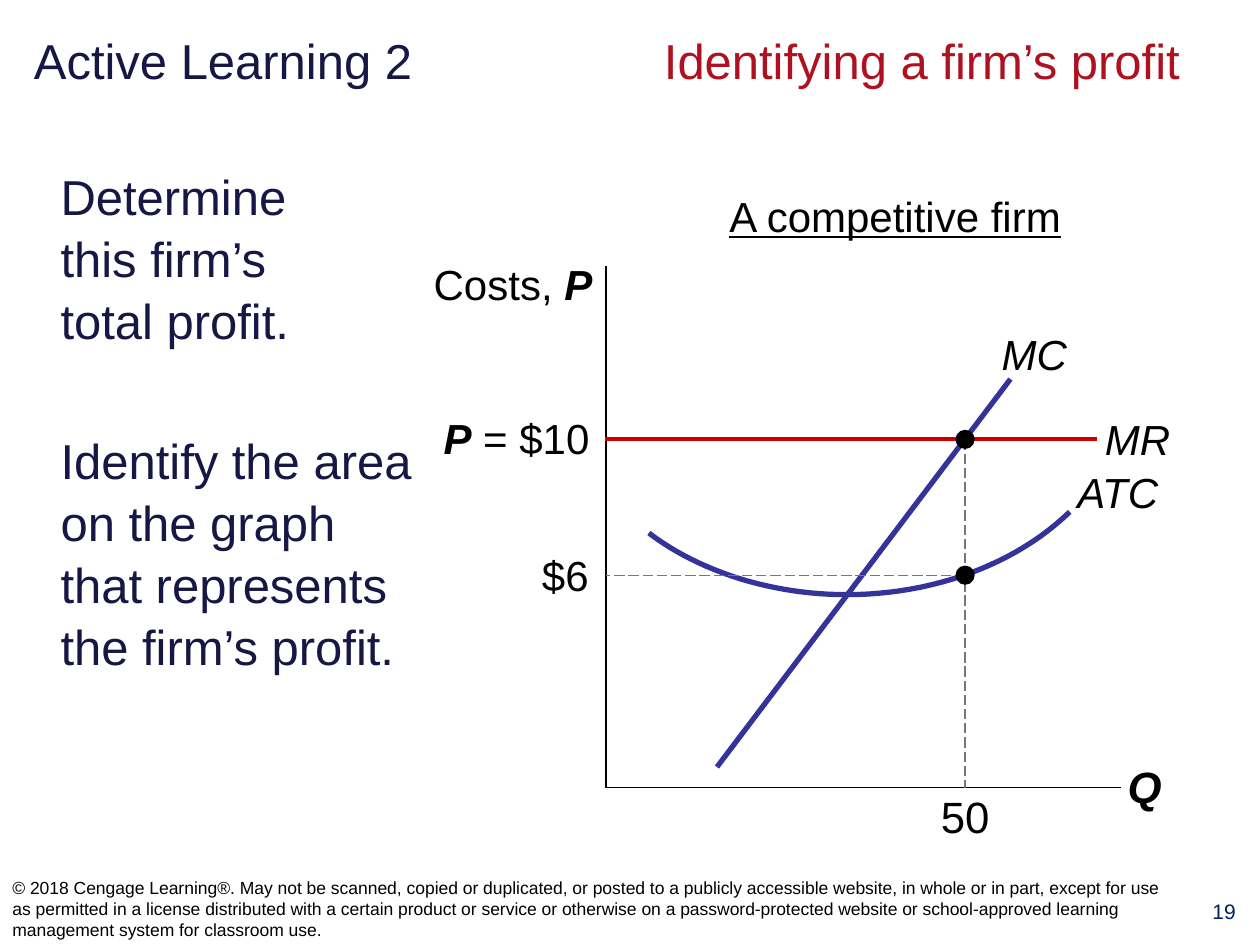
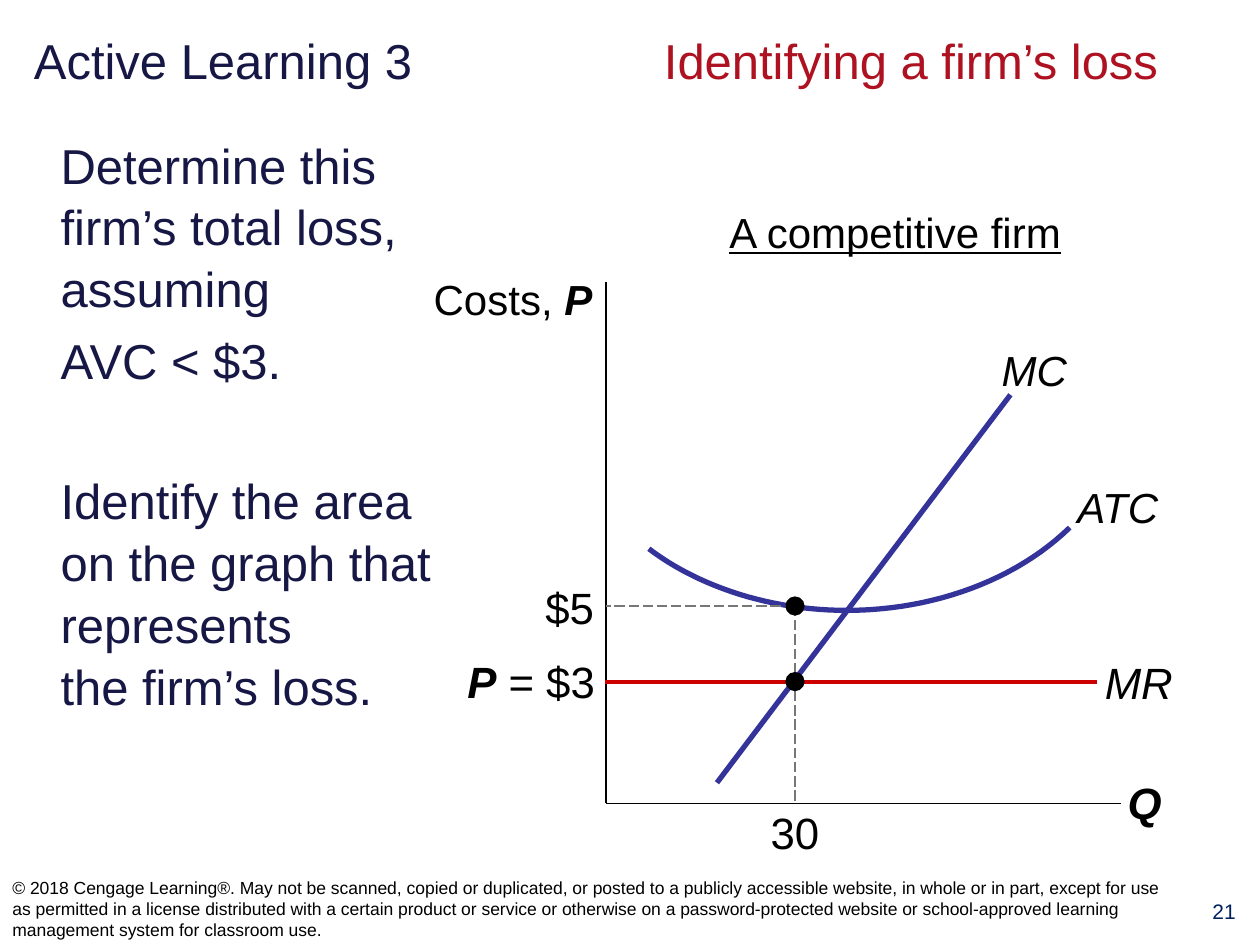
"""Build two Active Learning slides on a competitive firm's profit and loss."""
from lxml.etree import SubElement
from pptx import Presentation
from pptx.dml.color import RGBColor
from pptx.enum.dml import MSO_LINE
from pptx.enum.shapes import MSO_CONNECTOR, MSO_SHAPE
from pptx.enum.text import MSO_ANCHOR, MSO_AUTO_SIZE, PP_ALIGN
from pptx.oxml.ns import qn
from pptx.util import Pt

NAVY, CRIMSON, BLACK = "171745", "AE1221", "000000"
CURVE_BLUE, PRICE_RED, GUIDE_GREY, NUMBER_BLUE = "333399", "CC0000", "777777", "002060"
LEFT, CENTER, RIGHT = PP_ALIGN.LEFT, PP_ALIGN.CENTER, PP_ALIGN.RIGHT
AXIS_X, AXIS_END, DOT = 346.3, 640.8, 11
COPYRIGHT = (
    "© 2018 Cengage Learning®. May not be scanned, copied or duplicated, or posted to a "
    "publicly accessible website, in whole or in part, except for use as permitted in a "
    "license distributed with a certain product or service or otherwise on a "
    "password-protected website or school-approved learning management system for "
    "classroom use."
)
ATC_START = (611.3, 292.5)
ATC_BEZIERS = [
    [ATC_START, (581, 322), (534.2, 339.8), (483.8, 339.8)],
    [(483.8, 339.8), (441.4, 339.8), (400.3, 326.9), (370.8, 304.6)],
]
CURVE_STEPS = 24

LESSONS = [
    dict(number="19", title="Active Learning 2", topic="Identifying a firm’s profit",
         body_top=90, body_width=224.6,
         body=[(0, ["Determine ", "this firm’s ", "total profit."]),
               (45, ["Identify the area on the graph that represents ", "the firm’s profit."])],
         shift=0, price="$10", price_y=251.1, cost="$6", cost_y=328.7,
         quantity="50", quantity_x=551.5, size=24, label_right=344),
    dict(number="21", title="Active Learning 3", topic="Identifying a firm’s loss",
         body_top=72, body_width=252.7,
         body=[(0, ["Determine this firm’s total loss, assuming"]),
               (5.6, ["AVC < $3."]),
               (45, ["Identify the area on the graph that represents ", "the firm’s loss."])],
         shift=9, price="$3", price_y=389.5, cost="$5", cost_y=346.3,
         quantity="30", quantity_x=454.3, size=25, label_right=347),
]


def color(hex_code):
    return RGBColor.from_string(hex_code)


def add_span(para, text, size, hex_code, style=""):
    span = para.add_run()
    span.text = text
    font = span.font
    font.name, font.size, font.color.rgb = "Arial", Pt(size), color(hex_code)
    font.bold, font.italic, font.underline = "b" in style, "i" in style, "u" in style


deck = Presentation()
deck.slide_width, deck.slide_height = Pt(720), Pt(540)

for lesson in LESSONS:
    page = deck.slides.add_slide(deck.slide_layouts[1])
    shift, size = lesson["shift"], lesson["size"]
    price_y, cost_y = lesson["price_y"], lesson["cost_y"]
    quantity_x, label_right = lesson["quantity_x"], lesson["label_right"]
    axis_y = 450 + shift

    title = page.shapes.title
    title.left, title.top, title.width, title.height = Pt(12.2), Pt(8), Pt(696), Pt(52)
    title.text_frame.auto_size = MSO_AUTO_SIZE.NONE
    title.text_frame.vertical_anchor = MSO_ANCHOR.MIDDLE
    para = title.text_frame.paragraphs[0]
    para.alignment = LEFT
    tabs = SubElement(para._p.get_or_add_pPr(), qn("a:tabLst"))
    for stop in (288, 360):
        SubElement(tabs, qn("a:tab"), pos=str(Pt(stop)), algn="l")
    add_span(para, lesson["title"] + "\t\t", 28, NAVY)
    add_span(para, lesson["topic"], 28, CRIMSON)

    body = page.placeholders[1]
    body.left, body.top = Pt(27.4), Pt(lesson["body_top"])
    body.width, body.height = Pt(lesson["body_width"]), Pt(507.6 - lesson["body_top"])
    body.text_frame.auto_size = MSO_AUTO_SIZE.NONE
    for index, (space, lines) in enumerate(lesson["body"]):
        para = body.text_frame.add_paragraph() if index else body.text_frame.paragraphs[0]
        properties = para._p.get_or_add_pPr()
        properties.set("marL", "0")
        properties.set("indent", "0")
        SubElement(properties, qn("a:buNone"))
        para.space_before, para.line_spacing = Pt(space), 1.05
        for line_index, text in enumerate(lines):
            if line_index:
                para.add_line_break()
            add_span(para, text, 28, NAVY)

    atc = page.shapes.build_freeform(Pt(ATC_START[0]), Pt(ATC_START[1] + shift))
    atc_points = []
    for bezier in ATC_BEZIERS:
        for step in range(1, CURVE_STEPS + 1):
            t = step / CURVE_STEPS
            weights = ((1 - t) ** 3, 3 * t * (1 - t) ** 2, 3 * t ** 2 * (1 - t), t ** 3)
            x = sum(weight * point[0] for weight, point in zip(weights, bezier))
            y = sum(weight * point[1] for weight, point in zip(weights, bezier))
            atc_points.append((Pt(x), Pt(y + shift)))
    atc.add_line_segments(atc_points, close=False)
    curve = atc.convert_to_shape()
    curve.shadow.inherit = False
    curve.fill.background()
    curve.line.color.rgb, curve.line.width = color(CURVE_BLUE), Pt(3)

    chart_lines = [
        (AXIS_X, 152 + shift, AXIS_X, axis_y, BLACK, 0.75),
        (AXIS_X, axis_y, AXIS_END, axis_y, BLACK, 0.75),
        (409.7, 438.3 + shift, 577.4, 216.6 + shift, CURVE_BLUE, 3),
        (345.6, price_y, 627.1, price_y, PRICE_RED, 2.25),
        (quantity_x, min(price_y, cost_y), quantity_x, axis_y, GUIDE_GREY, 0.75),
        (quantity_x, cost_y, AXIS_X, cost_y, GUIDE_GREY, 0.75),
    ]
    for x1, y1, x2, y2, hex_code, width in chart_lines:
        connector = page.shapes.add_connector(
            MSO_CONNECTOR.STRAIGHT, Pt(x1), Pt(y1), Pt(x2), Pt(y2))
        connector.line.color.rgb, connector.line.width = color(hex_code), Pt(width)
        if hex_code == GUIDE_GREY:
            connector.line.dash_style = MSO_LINE.LONG_DASH
        SubElement(connector._element.spPr, qn("a:effectLst"))

    for dot_y in (price_y, cost_y):
        dot = page.shapes.add_shape(
            MSO_SHAPE.OVAL, Pt(quantity_x - DOT / 2), Pt(dot_y - DOT / 2), Pt(DOT), Pt(DOT))
        dot.shadow.inherit = False
        dot.fill.solid()
        dot.fill.fore_color.rgb = color(BLACK)
        dot.line.fill.background()

    labels = [
        (637.2, 430.5 + shift, 42.5, 37.4, LEFT, True, [("Q", 25, "bi")]),
        (213.8, 144 + shift, 131.8, 36, RIGHT, True, [("Costs, ", 24, ""), ("P", 24, "bi")]),
        (572.4, 187.8 + shift, 47.5, 29, LEFT, False, [("MC", 24, "i")]),
        (615.6, 266.3 + shift, 58.3, 29, LEFT, False, [("ATC", 24, "i")]),
        (631.4, price_y - 15, 47.5, 30, LEFT, False, [("MR", size, "i")]),
        (label_right - 105, price_y - 18.7, 105, 37, RIGHT, True,
         [("P", size, "bi"), (" = " + lesson["price"], size, "")]),
        (label_right - 45, cost_y - 14.6, 37.4, 30, RIGHT, False, [(lesson["cost"], size, "")]),
        (quantity_x - 16.6, axis_y + 1.6, 33.2, 30, CENTER, False, [(lesson["quantity"], 25, "")]),
        (388, 103.8 + shift, 247, 38, CENTER, True, [("A competitive firm", 24, "u")]),
        (0, 498.2, 677.5, 41.8, LEFT, True, [(COPYRIGHT, 10, "")]),
        (679, 509.8, 41, 29.5, CENTER, True, [(lesson["number"], 12, "")]),
    ]
    for left, top, width, height, alignment, padded, spans in labels:
        box = page.shapes.add_textbox(Pt(left), Pt(top), Pt(width), Pt(height))
        frame = box.text_frame
        frame.word_wrap = True
        if not padded:
            frame.margin_left = frame.margin_right = frame.margin_top = frame.margin_bottom = 0
        para = frame.paragraphs[0]
        para.alignment = alignment
        for text, points, style in spans:
            add_span(para, text, points, NUMBER_BLUE if points == 12 else BLACK, style)
            if text == COPYRIGHT:
                frame.vertical_anchor = MSO_ANCHOR.MIDDLE
            if style == "u":
                para.line_spacing = 1.05

deck.save("out.pptx")
